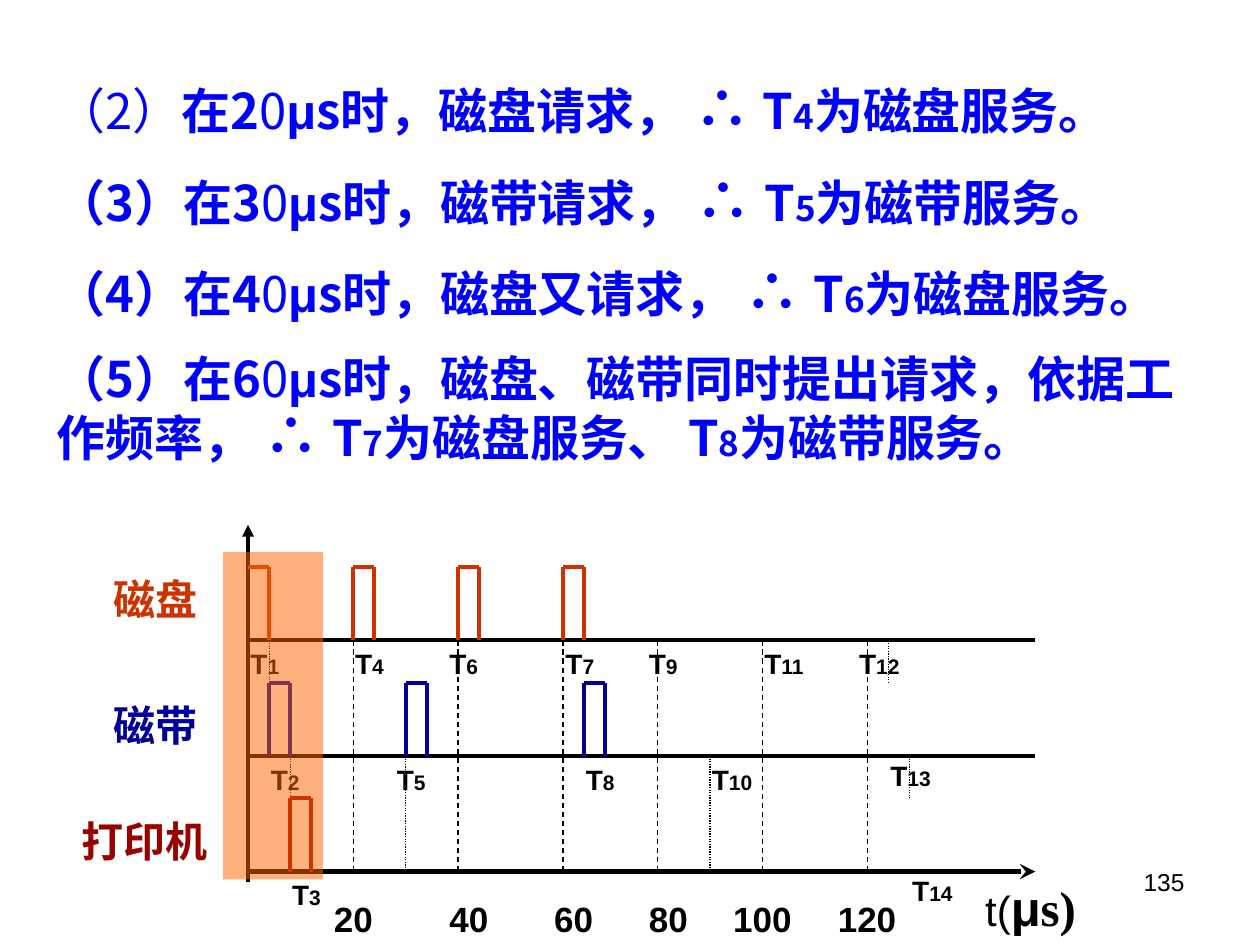
from pptx import Presentation
from pptx.dml.color import RGBColor
from pptx.enum.dml import MSO_LINE
from pptx.enum.shapes import MSO_CONNECTOR, MSO_SHAPE
from pptx.enum.text import MSO_AUTO_SIZE, PP_ALIGN
from pptx.oxml.ns import qn
from pptx.util import Cm, Pt
from lxml.etree import SubElement

CJK = "Noto Sans CJK SC"
BLACK, RED, NAVY, MAROON, BLUE = "000000", "CC3300", "000099", "990000", "0000FF"

prs = Presentation()
prs.slide_width, prs.slide_height = Cm(25.4), Cm(19.05)
s = prs.slides.add_slide(prs.slide_layouts[6])


def add_text(x, y, w, h, paragraphs, color=BLACK):
    tf = s.shapes.add_textbox(Cm(x), Cm(y), Cm(w), Cm(h)).text_frame
    tf.word_wrap = True
    tf.auto_size = MSO_AUTO_SIZE.SHAPE_TO_FIT_TEXT
    for i, runs in enumerate(paragraphs):
        p = tf.add_paragraph() if i else tf.paragraphs[0]
        for text, size, bold, font in runs:
            r = p.add_run()
            r.text = text
            r.font.size, r.font.bold, r.font.name = Pt(size), bold, font
            r.font.color.rgb = RGBColor.from_string(color)
            SubElement(r.font._element, qn("a:ea")).set("typeface", CJK)
    return tf


def add_line(x1, y1, x2, y2, color=BLACK, width=2.25, dash=None, head=None, tail=None):
    c = s.shapes.add_connector(MSO_CONNECTOR.STRAIGHT, Cm(x1), Cm(y1), Cm(x2), Cm(y2))
    c.line.color.rgb = RGBColor.from_string(color)
    c.line.width = Pt(width)
    if dash:
        c.line.dash_style = dash
    ln = c.line._get_or_add_ln()
    for tag, kind in (("a:headEnd", head), ("a:tailEnd", tail)):
        if kind:
            SubElement(ln, qn(tag)).set("type", kind)
    SubElement(c._element.spPr, qn("a:effectLst"))


tf = add_text(18.21, 17.35, 5.92, 1.32, [[("135", 14, False, "Arial")]])
tf.auto_size = MSO_AUTO_SIZE.NONE
tf.paragraphs[0].alignment = PP_ALIGN.RIGHT

left, right = 5, 20.87
disk, tape, printer = 12.91, 15.24, 17.57
add_line(left, disk, right, disk)
add_line(left, tape, right, tape)
add_line(left, printer, right, printer, width=3, tail="stealth")
add_line(left, 10.58, left, 17.78, head="triangle")

for x in (7.12, 9.23, 11.35, 13.25, 15.37, 17.49):
    add_line(x, disk, x, printer, width=0.75, dash=MSO_LINE.DASH)

for x, y, length in (
    (5.43, disk, 0.85), (5.85, tape, 0.85), (17.91, disk, 0.85),
    (18.33, tape, 0.85), (8.18, tape, 2.33), (14.31, tape, 2.33),
):
    add_line(x, y, x, y + length, width=0.75, dash=MSO_LINE.ROUND_DOT)

pulse_w, pulse_h = 0.42, 1.48
for base, color, starts in (
    (disk, RED, (left, 7.12, 9.23, 11.35)),
    (tape, NAVY, (5.43, 8.18, 11.77)),
    (printer, MAROON, (5.85,)),
):
    for x in starts:
        top = base - pulse_h
        add_line(x, top, x + pulse_w, top, color)
        add_line(x + pulse_w, top, x + pulse_w, base, color)
        if x != left:
            add_line(x, base, x, top, color)

for x, y, w, text, color in (
    (2.03, 11.43, 2.34, "磁盘", RED),
    (2.03, 13.97, 2.34, "磁带", NAVY),
    (1.4, 16.31, 3.18, "打印机", MAROON),
):
    add_text(x, y, w, 1.27, [[(text, 24, True, "Arial")]], color)

for x, y, number in (
    (4.8, disk, 1), (5.21, tape, 2), (5.64, printer, 3), (6.91, disk, 4),
    (7.75, tape, 5), (8.81, disk, 6), (11.15, disk, 7), (11.56, tape, 8),
    (12.83, disk, 9), (14.1, tape, 10), (15.16, disk, 11), (17.07, disk, 12),
    (17.7, 15.16, 13), (18.14, 17.48, 14),
):
    add_text(x, y, 1.48, 0.93, [[("T", 16, True, "Arial"), (str(number), 12, True, "Arial")]])

for x, w, time in (
    (6.48, 1.7, 20), (8.81, 1.7, 40), (10.92, 1.7, 60),
    (12.83, 1.7, 80), (14.53, 2.11, 100), (16.64, 2.11, 120),
):
    add_text(x, 17.96, w, 1.12, [[(str(time), 20, True, "Arial")]])

add_text(19.61, 17.57, 2.54, 1.45, [[
    ("t(", 24, False, "Arial"),
    ("μ", 28, True, "Arial"),
    ("s)", 28, True, "Times New Roman"),
]])

steps = []
for number, digit, request, task, service in (
    (2, 2, "磁盘请求", 4, "为磁盘服务。"),
    (3, 3, "磁带请求", 5, "为磁带服务。"),
    (4, 4, "磁盘又请求", 6, "为磁盘服务。"),
    (5, 6, "磁盘、磁带同时提出请求，依据工作频率", 7, "为磁盘服务、 T"),
):
    steps.append([
        (f"（{number}）", 28, number > 2, CJK),
        (f"在{digit}", 28, True, CJK),
        ("0", 28, False, CJK),
        ("μ", 28, True, "Arial"),
        (f"s时，{request}， ", 28, True, CJK),
        ("∴ ", 32, True, "Arial"),
        ("T", 28, True, CJK),
        (str(task), 20, True, CJK),
        (service, 28, True, CJK),
    ])
steps[-1] += [("8", 20, True, CJK), ("为磁带服务。", 28, True, CJK)]
tf = add_text(0.89, 1.52, 23.5, 9.12, steps, BLUE)
for i, p in enumerate(tf.paragraphs):
    p.line_spacing = 0.9
    if i:
        p.space_before = Pt(17.5)

sp = s.shapes.add_shape(MSO_SHAPE.RECTANGLE, Cm(4.5), Cm(11.13), Cm(2.01), Cm(6.6))
sp.shadow.inherit = False
sp.fill.solid()
sp.fill.fore_color.rgb = RGBColor.from_string("FF6600")
SubElement(sp._element.spPr.find(qn("a:solidFill"))[0], qn("a:alpha")).set("val", "51000")
sp.line.fill.background()

prs.save("out.pptx")
